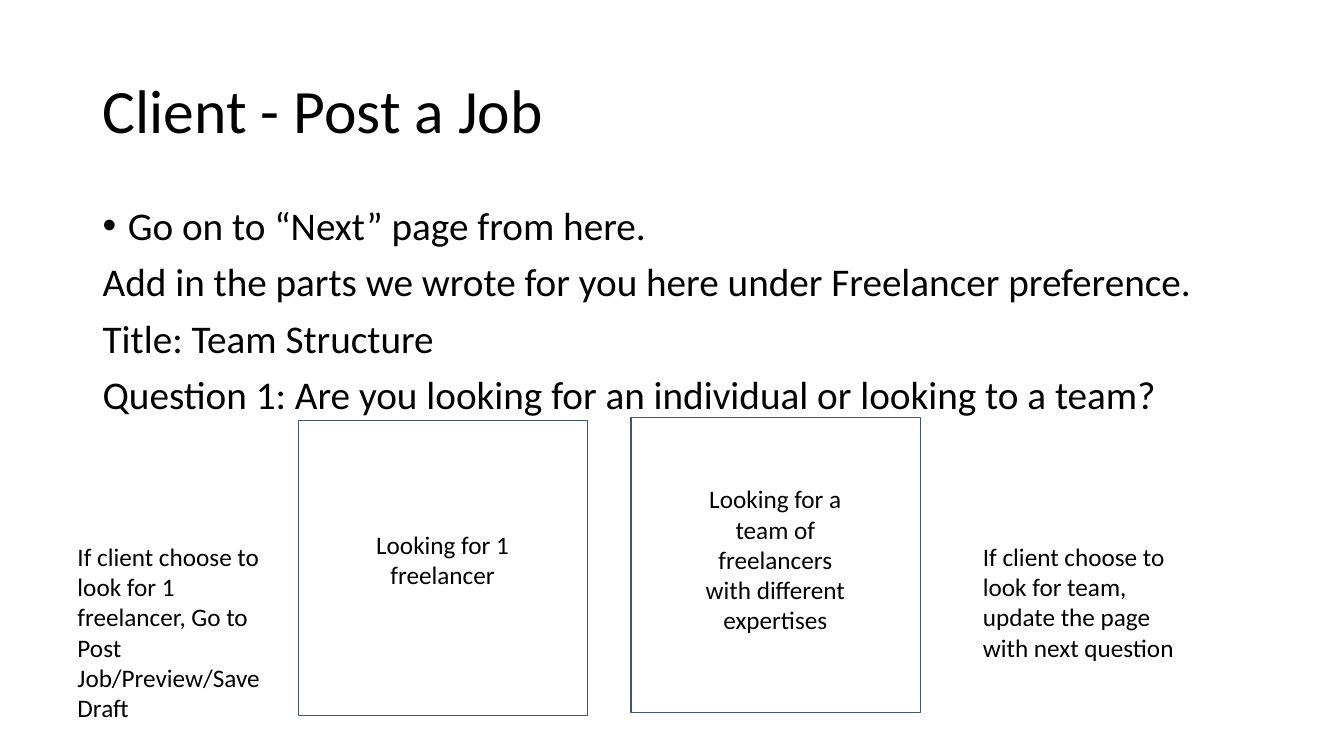
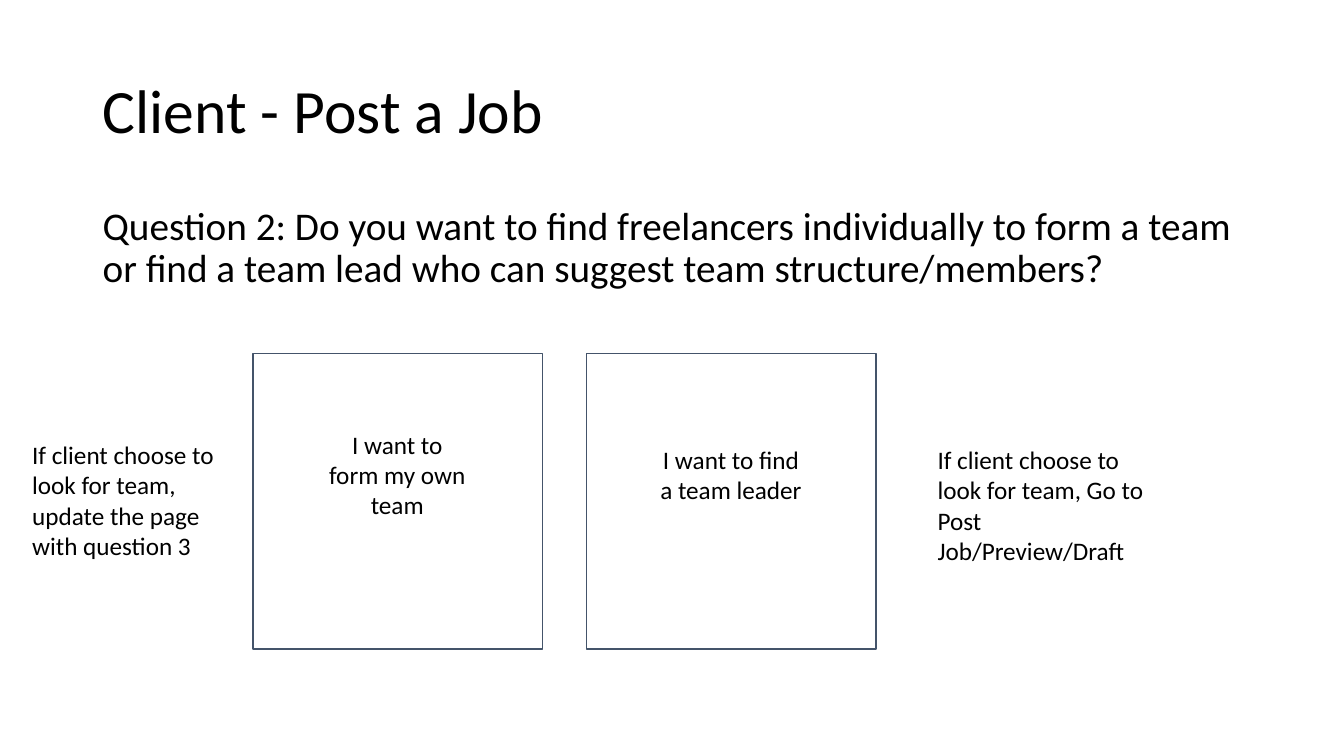
"""Build two slides of a job-posting flow with choice cards and side notes."""
from dataclasses import dataclass

from lxml.etree import SubElement
from pptx import Presentation
from pptx.dml.color import RGBColor
from pptx.enum.shapes import MSO_SHAPE as Shape
from pptx.enum.text import MSO_ANCHOR as Anchor, MSO_AUTO_SIZE as AutoSize, PP_ALIGN as Align
from pptx.oxml.ns import qn
from pptx.slide import Slide
from pptx.text.text import TextFrame
from pptx.util import Emu, Pt

PX = 9144
FONT = "Calibri"
COLORS = {"text": "000000", "outline": "44546A"}
TITLE = "Client - Post a Job"
MARGIN, CONTENT_WIDTH = 92, 1150
CARD_WIDTH, CARD_HEIGHT = 287, 293
LABEL_WIDTH, NOTE_WIDTH = 164, 229
BULLET = "•"


@dataclass(frozen=True)
class Card:
    """An outlined choice with a centred label."""
    left: int
    top: int
    label: str
    label_top: int
    label_height: int


@dataclass(frozen=True)
class Note:
    """A remark beside the cards."""
    left: int
    top: int
    height: int
    text: str


@dataclass(frozen=True)
class Page:
    """The content of one slide."""
    body: list[str]
    cards: list[Card]
    notes: list[Note]


PAGES = [
    Page(
        [
            BULLET + "Go on to “Next” page from here.",
            "Add in the parts we wrote for you here under Freelancer preference.",
            "Title: Team Structure",
            "Question 1: Are you looking for an individual or looking to a team?",
        ],
        [
            Card(296, 417, "Looking for 1 freelancer", 520, 71),
            Card(626, 414, "Looking for a team of freelancers with different expertises", 475, 162),
        ],
        [
            Note(965, 532, 131, "If client choose to look for team, update the page with next question"),
            Note(67, 532, 192,
                 "If client choose to look for 1 freelancer, Go to Post Job/Preview/Save Draft"),
        ],
    ),
    Page(
        [
            "Question 2: Do you want to find freelancers individually to form a team "
            "or find a team lead who can suggest team structure/members?",
        ],
        [
            Card(251, 351, "I want to form my own team", 421, 101),
            Card(582, 351, "I want to find a team leader", 436, 71),
        ],
        [
            Note(920, 436, 131, "If client choose to look for team, Go to Post Job/Preview/Draft"),
            Note(22, 431, 131, "If client choose to look for team, update the page with question 3"),
        ],
    ),
]


def px(*lengths: int) -> list[Emu]:
    """Turn px lengths into EMU."""
    return [Emu(length * PX) for length in lengths]


def write(frame: TextFrame, lines: list[str], *, size: int = 18, align: Align = Align.LEFT,
          anchor: Anchor = Anchor.TOP, line_spacing: float = 1.0, gap: int = 0) -> None:
    """Fill a frame with paragraphs; a leading bullet sign makes a list item."""
    frame.word_wrap = True
    frame.auto_size = AutoSize.NONE
    frame.vertical_anchor = anchor
    for index, line in enumerate(lines):
        para = frame.paragraphs[0] if index == 0 else frame.add_paragraph()
        para.alignment = align
        para.line_spacing = line_spacing
        para.space_before = Pt(gap if index else 0)
        if line.startswith(BULLET):
            properties = para._p.get_or_add_pPr()
            properties.set("marL", str(25 * PX))
            properties.set("indent", str(-25 * PX))
            SubElement(properties, qn("a:buFont")).set("typeface", "Arial")
            SubElement(properties, qn("a:buChar")).set("char", BULLET)
        span = para.add_run()
        span.text = line.removeprefix(BULLET)
        span.font.name = FONT
        span.font.size = Pt(size)
        span.font.color.rgb = RGBColor.from_string(COLORS["text"])


def add_text(slide: Slide, left: int, top: int, width: int, height: int,
             lines: list[str], **style) -> None:
    """Add a wrapped text box."""
    box = slide.shapes.add_textbox(*px(left, top, width, height))
    write(box.text_frame, lines, **style)


def add_title(slide: Slide) -> None:
    """Place and format the shared title."""
    title = slide.shapes.title
    title.left, title.top, title.width, title.height = px(MARGIN, 40, CONTENT_WIDTH, 145)
    write(title.text_frame, [TITLE], size=44, anchor=Anchor.MIDDLE, line_spacing=0.9)


def add_card(slide: Slide, card: Card) -> None:
    """Draw a card outline and its label."""
    box = slide.shapes.add_shape(Shape.RECTANGLE, *px(card.left, card.top, CARD_WIDTH, CARD_HEIGHT))
    box.shadow.inherit = False
    box.fill.background()
    box.line.color.rgb = RGBColor.from_string(COLORS["outline"])
    box.line.width = Pt(1)
    label_left = card.left + (CARD_WIDTH - LABEL_WIDTH) // 2
    add_text(slide, label_left, card.label_top, LABEL_WIDTH, card.label_height,
             [card.label], align=Align.CENTER)


def main() -> None:
    """Build and save the deck."""
    deck = Presentation()
    deck.slide_width, deck.slide_height = px(1333, 750)
    for page in PAGES:
        slide = deck.slides.add_slide(deck.slide_layouts.get_by_name("Title Only"))
        add_title(slide)
        add_text(slide, MARGIN, 200, CONTENT_WIDTH, 476, page.body,
                 size=28, line_spacing=0.9, gap=10)
        for card in page.cards:
            add_card(slide, card)
        for note in page.notes:
            add_text(slide, note.left, note.top, NOTE_WIDTH, note.height, [note.text])
    deck.save("out.pptx")


if __name__ == "__main__":
    main()
